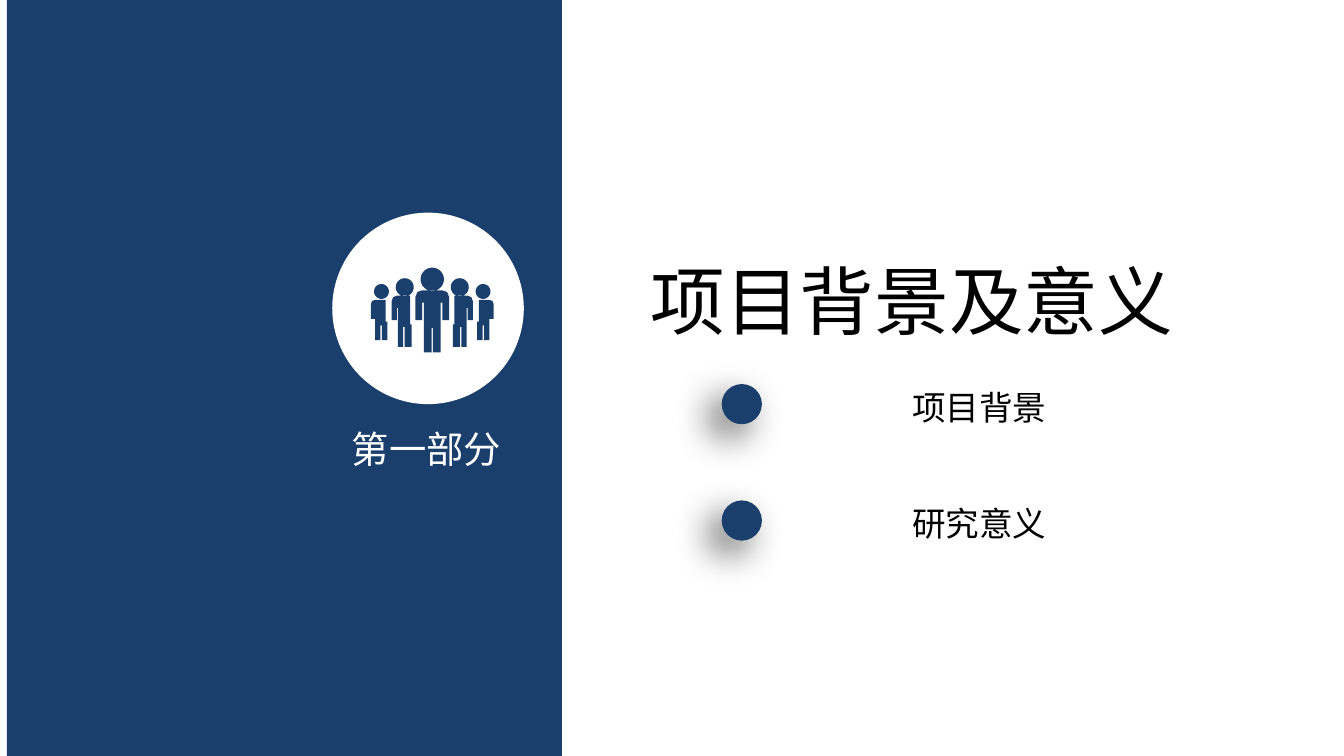
import math

from lxml import etree
from pptx import Presentation, util as u
from pptx.dml.color import RGBColor
from pptx.enum import shapes, text
from pptx.oxml import ns

# Icon outlines in hundredths of a centimetre from the axis and the top
HEADS = [(0, 22, 22), (-52, 37, 17), (-96, 45, 14)]
LEADER_HALF = [(-19, 43), (-28, 46), (-32, 56), (-32, 99), (-19, 99), (-19, 66),
               (-16, 66), (-16, 160), (-1, 160), (-1, 114)]
SIDE_BODIES = [
    [(-39, 107), (-39, 150), (-52, 150), (-52, 112), (-55, 112), (-55, 150),
     (-65, 150), (-65, 76), (-67, 76), (-67, 99), (-77, 99), (-77, 64),
     (-74, 56), (-67, 53), (-42, 53), (-42, 107)],
    [(-85, 102), (-85, 137), (-95, 137), (-95, 109), (-98, 109), (-98, 137),
     (-108, 137), (-108, 97), (-116, 97), (-116, 69), (-114, 63), (-108, 61),
     (-88, 61), (-88, 102)],
]


def color(value):
    return RGBColor.from_string(value)


def mirrored(outline):
    return [(-x, y) for x, y in reversed(outline)]


def circle(x, y, radius, steps=36):
    angles = [2 * math.pi * step / steps for step in range(steps)]
    return [(x + radius * math.cos(a), y + radius * math.sin(a)) for a in angles]


def team_outlines():
    leader = LEADER_HALF + mirrored(LEADER_HALF)
    heads = [circle(*head) for head in HEADS]
    sides = heads[1:] + SIDE_BODIES
    return [heads[0], leader] + sides + [mirrored(side) for side in sides]


class SectionPage:
    navy, white, black = "1A3F6C", "FFFFFF", "000000"
    font = "Noto Sans CJK SC"

    def __init__(self, page):
        self.page = page

    def paint(self, shape, fill):
        shape.shadow.inherit = False
        shape.fill.solid()
        shape.fill.fore_color.rgb = color(fill)
        shape.line.fill.background()
        return shape

    def shape(self, kind, left, top, width, height, fill):
        return self.paint(self.page.shapes.add_shape(
            kind, u.Cm(left), u.Cm(top), u.Cm(width), u.Cm(height)), fill)

    def disc(self, left, top, size, fill):
        return self.shape(shapes.MSO_SHAPE.OVAL, left, top, size, size, fill)

    def bullet(self, left, top, size):
        disc = self.disc(left, top, size, self.navy)
        effects = disc._element.spPr.find(ns.qn("a:effectLst"))
        shadow = etree.SubElement(
            effects, ns.qn("a:outerShdw"), blurRad=str(u.Pt(20)),
            dist=str(u.Pt(10)), dir=str(135 * 60000), algn="tr", rotWithShape="0")
        tone = etree.SubElement(shadow, ns.qn("a:srgbClr"), val=self.black)
        etree.SubElement(tone, ns.qn("a:alpha"), val="60000")

    def icon(self, outlines, axis, top):
        points = [[(axis * 1000 + x * 10, top * 1000 + y * 10) for x, y in outline]
                  for outline in outlines]
        builder = self.page.shapes.build_freeform(*points[0][0], scale=u.Cm(1) / 1000)
        for index, outline in enumerate(points):
            if index:
                builder.move_to(*outline[0])
            builder.add_line_segments(outline[1:], close=True)
        self.paint(builder.convert_to_shape(), self.navy)

    def label(self, words, left, top, width, height, size, fill,
              font=font, wrap=True, inset=True, tab=None):
        box = self.page.shapes.add_textbox(
            u.Cm(left), u.Cm(top), u.Cm(width), u.Cm(height))
        frame = box.text_frame
        frame.text = words
        frame.word_wrap = wrap
        frame.auto_size = text.MSO_AUTO_SIZE.SHAPE_TO_FIT_TEXT
        if not inset:
            frame.margin_left = frame.margin_right = 0
            frame.margin_top = frame.margin_bottom = 0
        para = frame.paragraphs[0]
        if tab:
            stops = etree.SubElement(para._p.get_or_add_pPr(), ns.qn("a:tabLst"))
            etree.SubElement(stops, ns.qn("a:tab"), pos=str(u.Cm(tab)), algn="l")
        for span in para.runs:
            span.font.size = u.Pt(size)
            span.font.name = font
            span.font.color.rgb = color(fill)
            etree.SubElement(span.font._element, ns.qn("a:ea"), typeface=self.font)


def main():
    deck = Presentation()
    deck.slide_width, deck.slide_height = u.Cm(25.4), u.Cm(14.29)
    section = SectionPage(deck.slides.add_slide(deck.slide_layouts[6]))

    # Side panel with the section number
    section.shape(shapes.MSO_SHAPE.RECTANGLE, 0.13, 0, 10.49, 14.29, section.navy)
    section.label("第一部分", 6.65, 8.05, 3.45, 0.86, 20, section.white, inset=False)

    # Team icon
    section.disc(6.28, 4.02, 3.62, section.white)
    section.icon(team_outlines(), 8.17, 5.06)

    # Heading
    section.label("项目背景及意义", 12.05, 4.7, 10.39, 1.96, 40, section.black,
                  font="Arial", wrap=False)

    # Topics
    for row, topic in enumerate(["项目背景", "研究意义"]):
        offset = row * 2.2
        section.label("\t" + topic, 14.45, 7.19 + offset, 5.7, 1.02, 18,
                      section.black, tab=2.54)
        section.bullet(13.64, 7.26 + offset, 0.76)

    deck.save("out.pptx")


if __name__ == "__main__":
    main()
